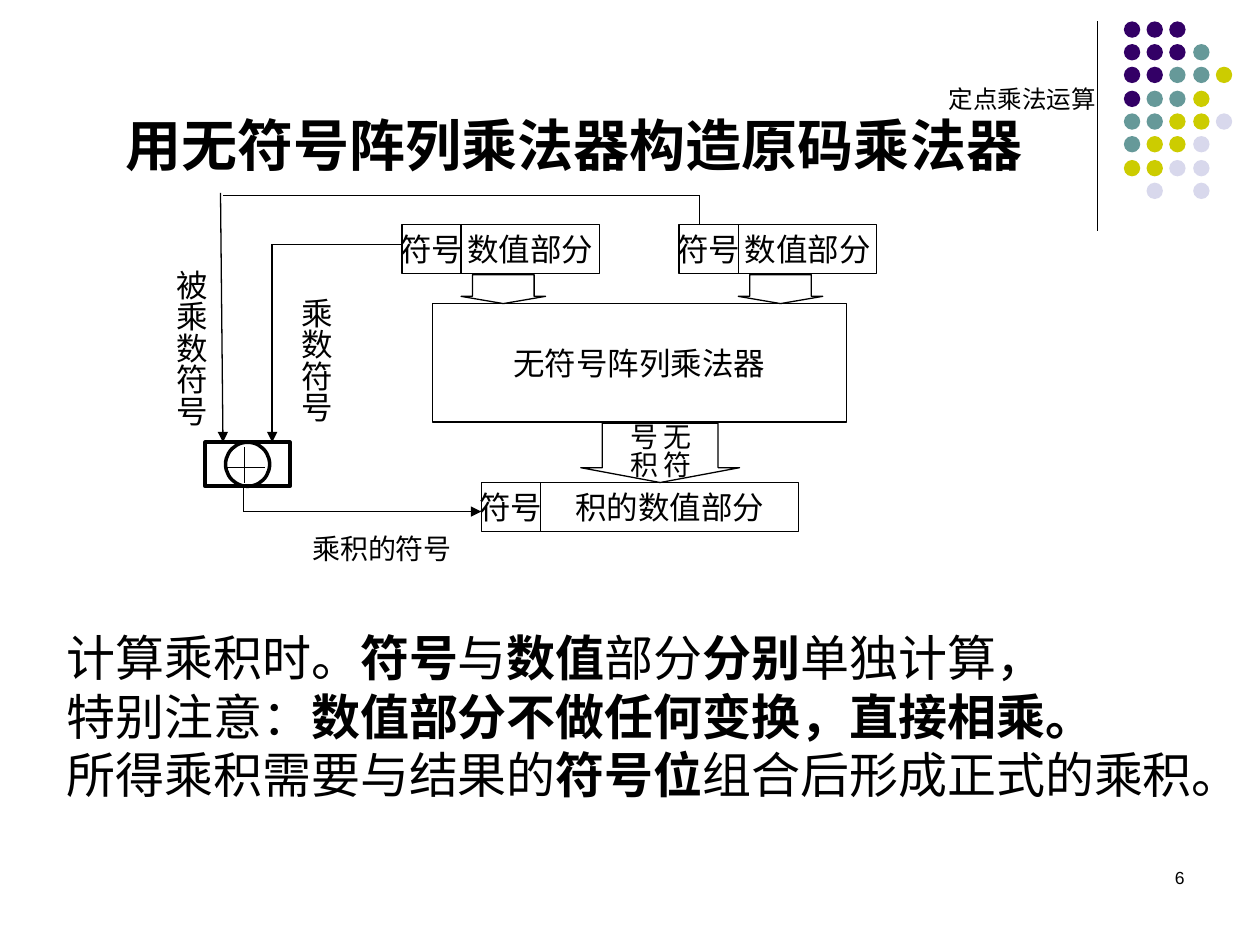
from pptx import Presentation
from pptx.dml.color import RGBColor
from pptx.enum.shapes import MSO_CONNECTOR as Connector, MSO_SHAPE as Preset
from pptx.enum.text import MSO_ANCHOR as Anchor, MSO_AUTO_SIZE as AutoSize, PP_ALIGN as Align
from pptx.oxml.ns import qn
from pptx.util import Emu, Pt
from lxml.etree import SubElement

SCALE = 9144
FONT = "Arial"
COLORS = {
    "ink": "000000",
    "purple": "330066",
    "teal": "669999",
    "lime": "CCCC00",
    "lilac": "D8D8EC",
}
DOT_ROWS = ["PPP", "PPPT", "PPTTL", "PTTL", "TTLLI", "TLLI", "LLII", " I I"]
DOT_COLORS = {"P": "purple", "T": "teal", "L": "lime", "I": "lilac"}


def px(length):
    return Emu(length * SCALE)


def color(name):
    return RGBColor.from_string(COLORS[name])


def write(shape, paragraphs, size, align=Align.LEFT, insets=(10, 5),
          vertical=False, wrap=False):
    frame = shape.text_frame
    frame.word_wrap = wrap
    if vertical:
        shape.element.txBody.bodyPr.set("vert", "eaVert")
    frame.margin_left = frame.margin_right = px(insets[0])
    frame.margin_top = frame.margin_bottom = px(insets[1])
    for index, runs in enumerate(paragraphs):
        paragraph = frame.add_paragraph() if index else frame.paragraphs[0]
        paragraph.alignment = align
        for text, bold in runs:
            run = paragraph.add_run()
            run.text = text
            run.font.name = FONT
            run.font.size = Pt(size)
            run.font.bold = bold
            run.font.color.rgb = color("ink")


def add_text(slide, box, paragraphs, size, grow=True, **options):
    shape = slide.shapes.add_textbox(*map(px, box))
    write(shape, paragraphs, size, **options)
    if grow:
        shape.text_frame.auto_size = AutoSize.SHAPE_TO_FIT_TEXT


def add_outline(slide, preset, box, lines=(), size=18, weight=0.75, **options):
    shape = slide.shapes.add_shape(preset, *map(px, box))
    shape.shadow.inherit = False
    shape.fill.background()
    shape.line.color.rgb = color("ink")
    shape.line.width = Pt(weight)
    if lines:
        write(shape, [[(line, False)] for line in lines], size,
              align=Align.CENTER, **options)
        shape.text_frame.vertical_anchor = Anchor.MIDDLE
    return shape


def add_down_arrow(slide, box, lines=()):
    arrow = add_outline(slide, Preset.DOWN_ARROW, box, lines, 16,
                        insets=(5, 0), vertical=True)
    arrow.adjustments[0] = 0.73
    arrow.adjustments[1] = 0.25


def add_line(slide, start, end, arrow=False):
    line = slide.shapes.add_connector(Connector.STRAIGHT, *map(px, start + end))
    line.line.color.rgb = color("ink")
    line.line.width = Pt(0.75)
    properties = line.element.spPr
    if arrow:
        SubElement(properties.find(qn("a:ln")), qn("a:tailEnd"), type="triangle")
    SubElement(properties, qn("a:effectLst"))


def add_corner(slide, left, top):
    add_line(slide, (left, top), (left, top + 166))
    for row, letters in enumerate(DOT_ROWS):
        for column, letter in enumerate(letters):
            if letter == " ":
                continue
            dot = slide.shapes.add_shape(
                Preset.OVAL, px(left + 21 + column * 55 // 3),
                px(top + row * 55 // 3), px(13), px(13))
            dot.shadow.inherit = False
            dot.fill.solid()
            dot.fill.fore_color.rgb = color(DOT_COLORS[letter])
            dot.line.fill.background()


def add_heading(slide, left, top):
    add_text(slide, (left, top + 16, 756, 64),
             [[("用无符号阵列乘法器构造原码乘法器", True)]], 32, wrap=True)
    add_text(slide, (left + 663, top, 117, 23),
             [[("定点乘法运算", False)]], 14, insets=(0, 0))


def add_register(slide, left, top, width, label):
    sign_width, height = 47, 39
    add_outline(slide, Preset.RECTANGLE,
                (left + sign_width, top, width - sign_width, height), [label])
    add_outline(slide, Preset.RECTANGLE, (left, top, sign_width, height), ["符号"])


def add_operand(slide, left, top):
    add_down_arrow(slide, (left + 47, top + 40, 67, 23))
    add_register(slide, left, top, 157, "数值部分")


def add_multiplier(slide, left, top):
    add_outline(slide, Preset.RECTANGLE, (left, top, 329, 94), ["无符号阵列乘法器"])
    add_down_arrow(slide, (left + 118, top + 95, 126, 47), ["无符", "号积"])


def add_sign_gate(slide, left, top):
    add_outline(slide, Preset.RECTANGLE, (left, top, 67, 35), weight=2.25)
    add_outline(slide, Preset.OVAL, (left + 16, top, 35, 35), weight=2)
    add_line(slide, (left + 16, top + 20), (left + 47, top + 20))
    add_line(slide, (left + 31, top + 4), (left + 31, top + 32))


def add_sign_routes(slide, left, top):
    add_line(slide, (left + 433, top + 2), (left + 55, top + 2))
    add_line(slide, (left + 433, top + 2), (left + 433, top + 25))
    add_line(slide, (left + 53, top), (left + 55, top + 198), arrow=True)
    add_line(slide, (left + 94, top + 41), (left + 197, top + 41))
    add_line(slide, (left + 94, top + 41), (left + 94, top + 198), arrow=True)
    add_line(slide, (left + 71, top + 232), (left + 71, top + 253))
    add_line(slide, (left + 71, top + 253), (left + 260, top + 253), arrow=True)
    for x, y, height, label in [(0, 51, 135, "被乘数符号"), (99, 73, 110, "乘数符号")]:
        add_text(slide, (left + x, top + y, 50, height),
                 [[(label, False)]], 18, insets=(5, 10), vertical=True)
    add_text(slide, (left + 116, top + 264, 142, 37),
             [[("乘积的符号", False)]], 16, wrap=True)


def add_diagram(slide, left, top):
    add_multiplier(slide, left + 221, top + 88)
    add_sign_gate(slide, left + 41, top + 198)
    for offset in (197, 417):
        add_operand(slide, left + offset, top + 25)
    add_register(slide, left + 260, top + 230, 252, "积的数值部分")
    add_sign_routes(slide, left, top)


def add_explanation(slide, box):
    add_text(slide, box, [
        [("计算乘积时。", False), ("符号", True), ("与", False), ("数值", True),
         ("部分", False), ("分别", True), ("单独计算，", False)],
        [("特别注意：", False), ("数值部分不做任何变换，直接相乘。", True)],
        [("所得乘积需要与结果的", False), ("符号位", True),
         ("组合后形成正式的乘积。", False)],
    ], 28, wrap=True)


def add_page_number(slide, box):
    add_text(slide, box, [[("6", False)]], 10, grow=False, align=Align.RIGHT, wrap=True)


def main():
    presentation = Presentation()
    presentation.slide_width = px(1000)
    presentation.slide_height = px(750)
    slide = presentation.slides.add_slide(presentation.slide_layouts[6])
    add_corner(slide, 871, 17)
    add_heading(slide, 90, 67)
    add_explanation(slide, (43, 493, 957, 150))
    add_diagram(slide, 122, 153)
    add_page_number(slide, (717, 683, 233, 50))
    presentation.save("out.pptx")


if __name__ == "__main__":
    main()
